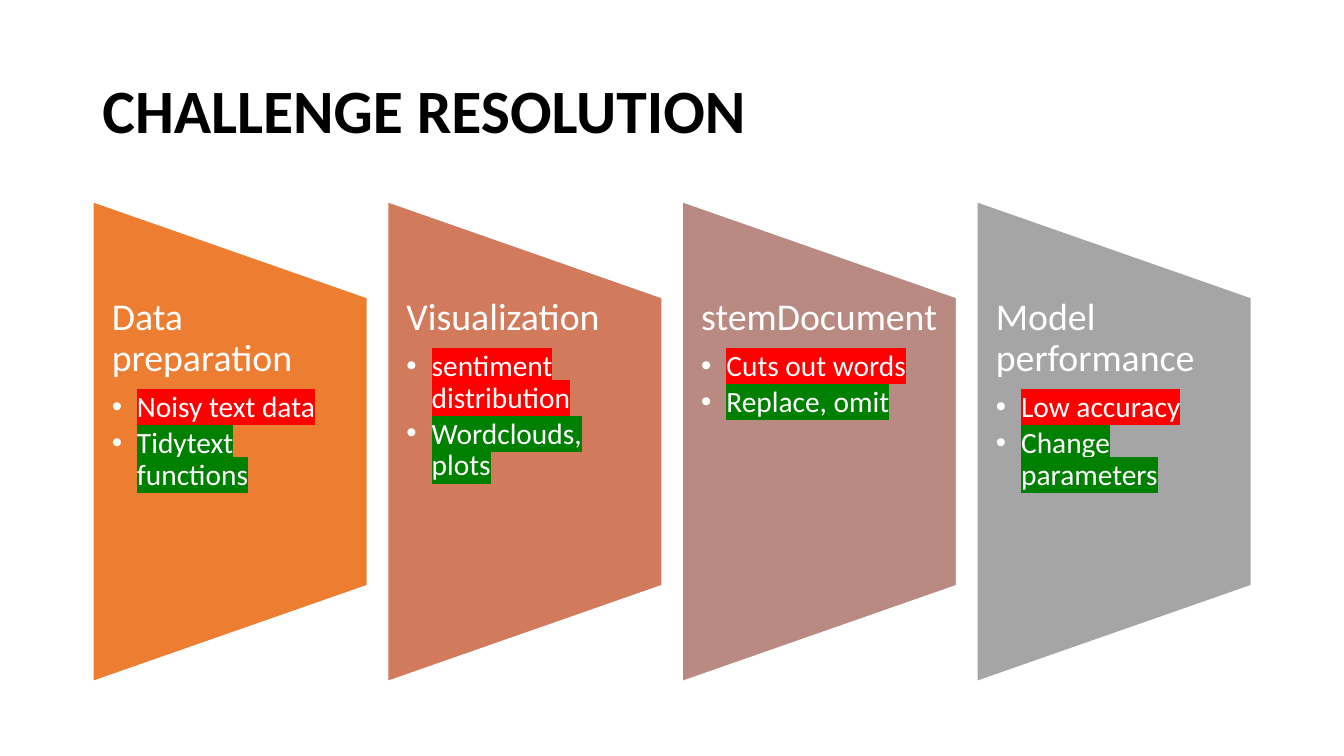
import pptx
import pptx.util
import pptx.dml.color
import pptx.enum.shapes
import pptx.enum.text
import pptx.oxml
import pptx.oxml.ns

Pt = pptx.util.Pt


def color(code):
    return pptx.dml.color.RGBColor.from_string(code)


def write(paragraph, text, size, ink="FFFFFF", bold=False, after=0, highlight=None):
    paragraph.line_spacing = 0.9
    paragraph.space_before = Pt(0)
    paragraph.space_after = Pt(after)
    run = paragraph.add_run()
    run.text = text
    run.font.size = Pt(size)
    run.font.bold = bold
    run.font.name = "Calibri"
    run.font.color.rgb = color(ink)
    if highlight:
        namespace = pptx.oxml.ns.nsdecls("a")
        paragraph.level = 1
        properties = paragraph._p.get_or_add_pPr()
        properties.set("marL", str(Pt(18)))
        properties.set("indent", str(Pt(-18)))
        for bullet in ('buFont {} typeface="Arial"', 'buChar {} char="•"'):
            properties.append(pptx.oxml.parse_xml(f"<a:{bullet.format(namespace)}/>"))
        ink_fill = run.font._element.find(pptx.oxml.ns.qn("a:solidFill"))
        ink_fill.addnext(pptx.oxml.parse_xml(
            f'<a:highlight {namespace}><a:srgbClr val="{highlight}"/></a:highlight>'))


deck = pptx.Presentation()
deck.slide_width = Pt(960)
deck.slide_height = Pt(540)
slide = deck.slides.add_slide(deck.slide_layouts[5])

title = slide.shapes.title
title.left, title.top, title.width, title.height = Pt(66), Pt(28.75), Pt(828), Pt(104.4)
title.text_frame.vertical_anchor = pptx.enum.text.MSO_ANCHOR.MIDDLE
title.text_frame.word_wrap = True
heading = title.text_frame.paragraphs[0]
heading.alignment = pptx.enum.text.PP_ALIGN.LEFT
write(heading, "CHALLENGE RESOLUTION", 44, ink="000000", bold=True)

challenges = [
    ("Data preparation", "Noisy text data", "Tidytext functions", "ED7D31"),
    ("Visualization", "sentiment distribution", "Wordclouds, plots", "D17B5C"),
    ("stemDocument", "Cuts out words", "Replace, omit", "B98A82"),
    ("Model performance", "Low accuracy", "Change parameters", "A5A5A5"),
]
first_left, pitch, middle = 66.4, 210.5, 315.4
panel_width, panel_height, body_height = 196, 342.8, 205.7

for index, (topic, problem, solution, panel_color) in enumerate(challenges):
    left = first_left + index * pitch
    panel = slide.shapes.add_shape(
        pptx.enum.shapes.MSO_SHAPE.FLOWCHART_MANUAL_OPERATION,
        Pt(left + (panel_width - panel_height) / 2), Pt(middle - panel_width / 2),
        Pt(panel_height), Pt(panel_width))
    panel.rotation = 270
    panel.shadow.inherit = False
    panel.fill.solid()
    panel.fill.fore_color.rgb = color(panel_color)
    panel.line.color.rgb = color("FFFFFF")
    panel.line.width = Pt(1)

    body = slide.shapes.add_textbox(
        Pt(left), Pt(middle - body_height / 2), Pt(panel_width), Pt(body_height)).text_frame
    body.word_wrap = True
    body.margin_left = body.margin_right = Pt(13.5)
    body.margin_top = body.margin_bottom = Pt(0)
    write(body.paragraphs[0], topic, 27, after=9)
    write(body.add_paragraph(), problem, 21, after=3, highlight="FF0000")
    write(body.add_paragraph(), solution, 21, after=3, highlight="008000")

deck.save("out.pptx")
